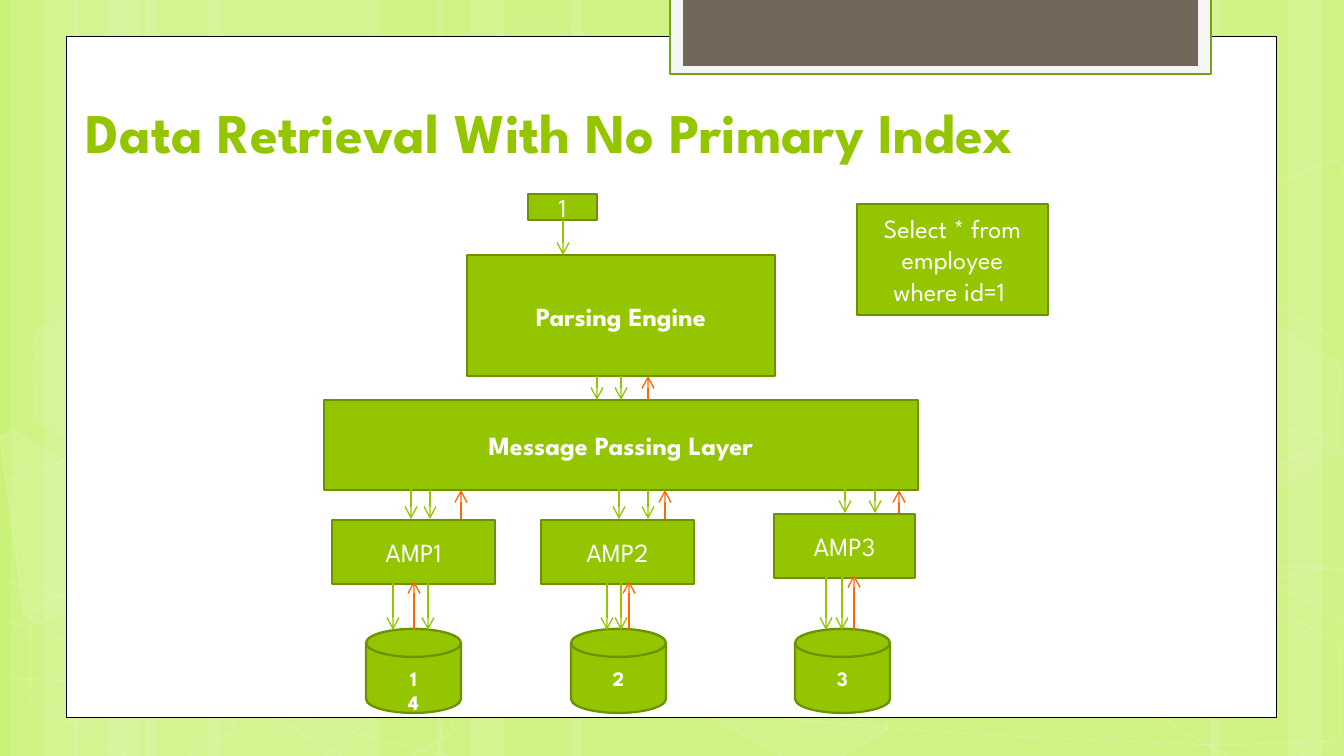
from dataclasses import dataclass
from lxml.etree import SubElement
from pptx import Presentation
from pptx.dml.color import RGBColor
from pptx.enum.shapes import MSO_CONNECTOR, MSO_SHAPE
from pptx.enum.text import MSO_ANCHOR, MSO_AUTO_SIZE, PP_ALIGN
from pptx.oxml.ns import qn
from pptx.util import Pt

PX = 914400 / 134.4


@dataclass(frozen=True)
class Theme:
    font: str = "League Spartan"
    back: str = "CAF278"
    white: str = "FFFFFF"
    black: str = "000000"
    green: str = "94C600"
    edge: str = "6D9200"
    orange: str = "FF6700"
    tab: str = "F5F5F5"
    tab_edge: str = "74A510"
    tab_fill: str = "71685A"
    title: int = 30
    label: int = 14
    disk: int = 11


T = Theme()


def emu(*lengths):
    return [round(v * PX) for v in lengths]


def paint(fill, color, alpha=100):
    """Solid fill with an opacity in percent; no colour means no fill."""
    if color is None:
        fill.background()
        return
    fill.solid()
    fill.fore_color.rgb = RGBColor.from_string(color)
    if alpha < 100:
        clr = fill._xPr.find(".//" + qn("a:srgbClr"))
        SubElement(clr, qn("a:alpha")).set("val", str(alpha * 1000))


def style(sp, fill, line=None, width=1.25, fill_alpha=100, line_alpha=100):
    sp.shadow.inherit = False
    paint(sp.fill, fill, fill_alpha)
    paint(sp.line.fill, line, line_alpha)
    if line:
        sp.line.width = Pt(width)
    return sp


def write(tf, lines, size, color, bold=False, align=PP_ALIGN.CENTER,
          anchor=MSO_ANCHOR.MIDDLE, top=5):
    tf.word_wrap = True
    tf.auto_size = MSO_AUTO_SIZE.NONE
    tf.vertical_anchor = anchor
    tf.margin_left, tf.margin_top, tf.margin_right, tf.margin_bottom = emu(10, top, 10, 5)
    for i, line in enumerate(lines):
        p = tf.add_paragraph() if i else tf.paragraphs[0]
        p.alignment = align
        r = p.add_run()
        r.text = line
        r.font.name, r.font.size, r.font.bold = T.font, Pt(size), bold
        r.font.color.rgb = RGBColor.from_string(color)


def add_shape(s, kind, box):
    return s.shapes.add_shape(kind, *emu(*box))


def node(s, box, lines, bold=False, kind=MSO_SHAPE.RECTANGLE, size=T.label, top=5):
    sp = style(add_shape(s, kind, box), T.green, T.edge)
    write(sp.text_frame, lines, size, T.white, bold, top=top)


def arrow(s, x, start, end, color):
    c = s.shapes.add_connector(MSO_CONNECTOR.STRAIGHT, *emu(x, start, x, end))
    paint(c.line.fill, color)
    c.line.width = Pt(0.75)
    SubElement(c.line._get_or_add_ln(), qn("a:tailEnd")).set("type", "arrow")
    SubElement(c._element.spPr, qn("a:effectLst"))


def traffic(s, left, top, bottom, downs, up, lead=0, rise=0):
    """Green requests going down, the first from a lead above, and one reply going up."""
    for i, dx in enumerate(downs):
        arrow(s, left + dx, top if i else top - lead, bottom, T.green)
    arrow(s, left + up, bottom, top - rise, T.orange)


def outline(s, points, closed, fill=None, fill_alpha=100, width=1, line_alpha=12):
    fb = s.shapes.build_freeform(*points[0], scale=PX)
    fb.add_line_segments(points[1:], close=closed)
    return style(fb.convert_to_shape(), fill, T.white, width, fill_alpha, line_alpha)


def wave(s, points):
    """Turns every three line points into one cubic Bezier segment."""
    sp = outline(s, points, False, width=0.5, line_alpha=20)
    track = sp._element.find(".//" + qn("a:path"))
    legs = track.findall(qn("a:lnTo"))
    for i in range(0, len(legs), 3):
        bend = SubElement(track, qn("a:cubicBezTo"))
        for leg in legs[i:i + 3]:
            bend.append(leg[0])
            track.remove(leg)


def backdrop(s):
    # Vertical light bands
    for x, band in ((145, 235), (11, 67), (44, 112), (208, 235), (74, 67), (108, 112),
                    (985, 235), (1288, 67), (1210, 112), (571, 414), (437, 67), (470, 112)):
        style(add_shape(s, MSO_SHAPE.RECTANGLE, (x, 0, band, 756)), T.white, fill_alpha=10)
    # Thin waves
    for points in (
        [(9, 679), (82, 681), (155, 684), (255, 683), (356, 681), (481, 680), (616, 671),
         (750, 660), (941, 641), (1064, 622), (1187, 602), (1313, 573), (1353, 555)],
        [(9, 480), (48, 465), (87, 452), (163, 434), (239, 419), (348, 398), (466, 390),
         (586, 383), (731, 382), (879, 390), (1027, 398), (1273, 430), (1353, 437)],
        [(8, 622), (171, 677), (332, 732), (449, 756)],
        [(9, 582), (51, 594), (94, 605), (172, 621), (250, 637), (367, 661), (480, 679),
         (591, 695), (732, 714), (844, 724), (956, 735), (1075, 739), (1146, 742),
         (1216, 746), (1235, 745), (1270, 743), (1305, 743), (1329, 742), (1353, 739)],
        [(325, 756), (349, 735), (374, 715), (406, 696), (438, 677), (484, 657), (521, 644),
         (559, 630), (582, 624), (632, 614), (680, 603), (770, 589), (817, 582),
         (866, 575), (872, 577), (914, 574), (956, 571), (1021, 569), (1067, 567),
         (1114, 566), (1191, 567), (1191, 567), (1221, 567), (1251, 567), (1281, 567),
         (1305, 567), (1329, 569), (1340, 570), (1348, 570), (1350, 570), (1353, 571)],
    ):
        wave(s, points)
    # Hexagons, whole and cut
    for x, y, alpha, edge in ((449, 36, 4, 8), (668, 594, 6, 12), (15, 595, 0, 12),
                              (19, 314, 7, 8), (234, 597, 0, 12), (1121, 598, 0, 12),
                              (1121, 316, 7, 8)):
        sp = add_shape(s, MSO_SHAPE.HEXAGON, (x, y, 235, 153))
        sp.rotation = 30
        sp.adjustments[0] = 0.285
        style(sp, T.white if alpha else None, T.white, 1, alpha, edge)
    outline(s, [(0, 437), (13, 431), (116, 491), (128, 586), (39, 624), (24, 614)],
            True, T.white, 10)
    cut = [(1245, 478), (1333, 441), (1343, 446), (1368, 629), (1360, 633), (1257, 574)]
    outline(s, cut, True, T.white, 4)
    outline(s, [(x, y - 281) for x, y in cut], True)


def panel(s, x, y, w, h):
    for box, fill, line, width in (((x, y, w, h), T.white, T.black, 0.5),
                                   ((x + 603, -3, 541, 77), T.tab, T.tab_edge, 1.25),
                                   ((x + 616, -3, 515, 69), T.tab_fill, None, 0)):
        style(add_shape(s, MSO_SHAPE.RECTANGLE, box), fill, line, width)


def to_layout(s, layout):
    """Hands the decoration drawn so far over to the layout."""
    layout.background.fill.solid()
    layout.background.fill.fore_color.rgb = RGBColor.from_string(T.back)
    tree = layout.shapes._spTree
    for i, sp in enumerate([sp for sp in s.shapes if not sp.is_placeholder]):
        sp._element.nvSpPr.cNvPr.set("id", str(100 + i))
        tree.append(sp._element)


def heading(s, x, y, w, h, text):
    sp = s.shapes.title
    sp.left, sp.top, sp.width, sp.height = emu(x, y, w, h)
    write(sp.text_frame, [text], T.title, T.green, True, PP_ALIGN.LEFT, MSO_ANCHOR.BOTTOM)


def pipeline(s, x, y):
    """Request, parsing engine and message layer."""
    node(s, (x + 204, y, 69, 26), ["1"])
    node(s, (x + 143, y + 61, 308, 121), ["Parsing Engine"], True, top=6)
    node(s, (x, y + 206, 594, 90), ["Message Passing Layer"], True)
    arrow(s, x + 239, y + 26, y + 61, T.green)
    traffic(s, x, y + 182, y + 206, (273, 297), 324)


def amp(s, x, y, w, name, rows, disk, above, below, top=5):
    """One AMP with its disk; above and below hold (downs, up) offsets."""
    node(s, (x, y, w, 64), [name])
    node(s, (x + disk, 629, 95, 84), rows, True, MSO_SHAPE.FLOWCHART_MAGNETIC_DISK, T.disk, top)
    traffic(s, x, 490, y - 1, *above, lead=22)
    traffic(s, x, y + 63, 630, *below, rise=2)


prs = Presentation()
prs.slide_width, prs.slide_height = emu(1344, 756)
layout = prs.slide_layouts[5]
s = prs.slides.add_slide(layout)

backdrop(s)
panel(s, 67, 37, 1210, 681)
to_layout(s, layout)
heading(s, 76, 32, 1044, 138, "Data Retrieval With No Primary Index")
pipeline(s, 324, 194)
for unit in (
        (332, 520, 163, "AMP1", ["1", "4"], 34, ((79, 98), 129), ((61, 96), 82), 30),
        (541, 520, 153, "AMP2", ["2"], 30, ((78, 107), 124), ((66, 80), 88)),
        (774, 514, 141, "AMP3", ["3"], 21, ((71, 101), 125), ((52, 68), 80))):
    amp(s, *unit)
node(s, (857, 204, 191, 111), ["Select * from employee where id=1 "])

prs.save("out.pptx")
